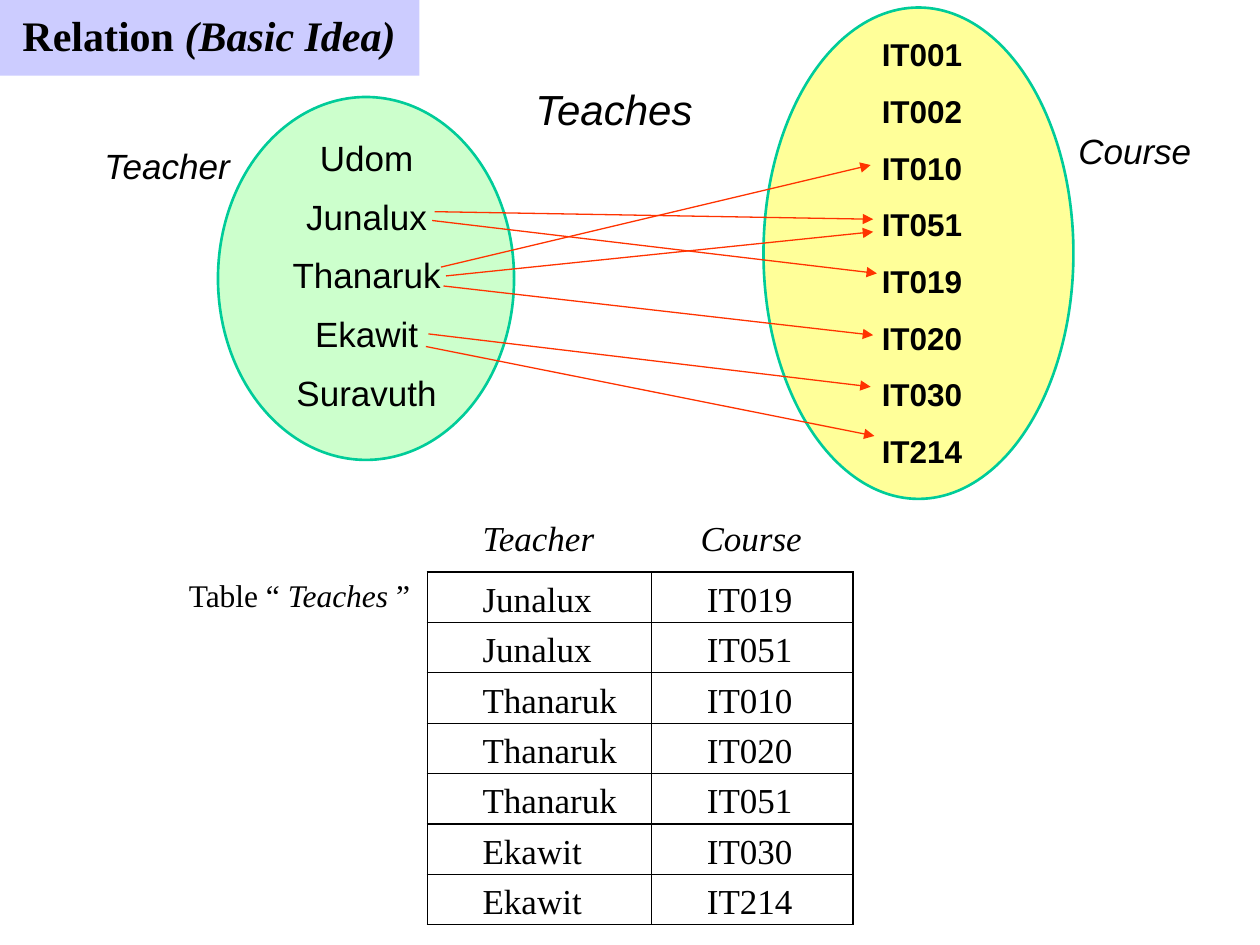
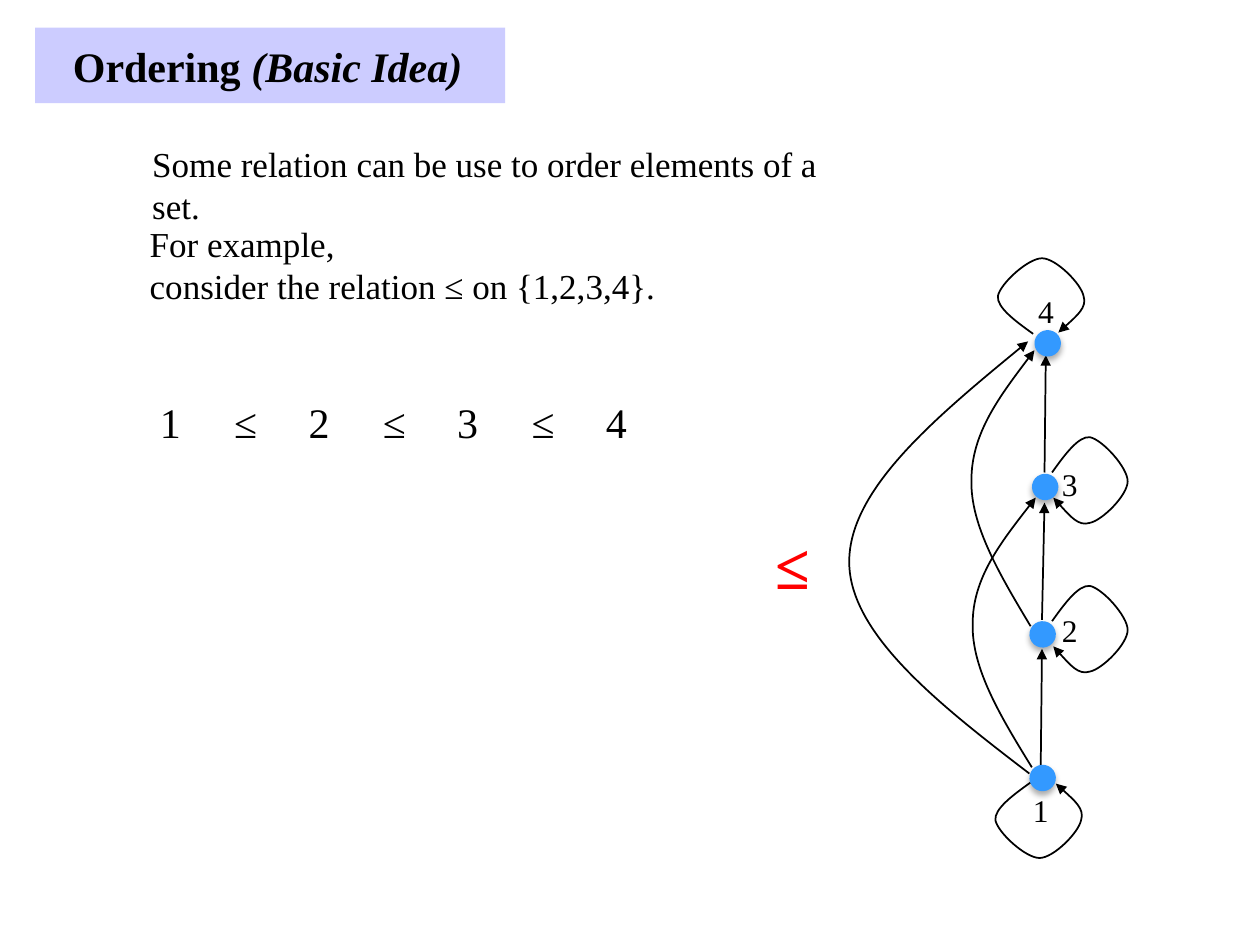
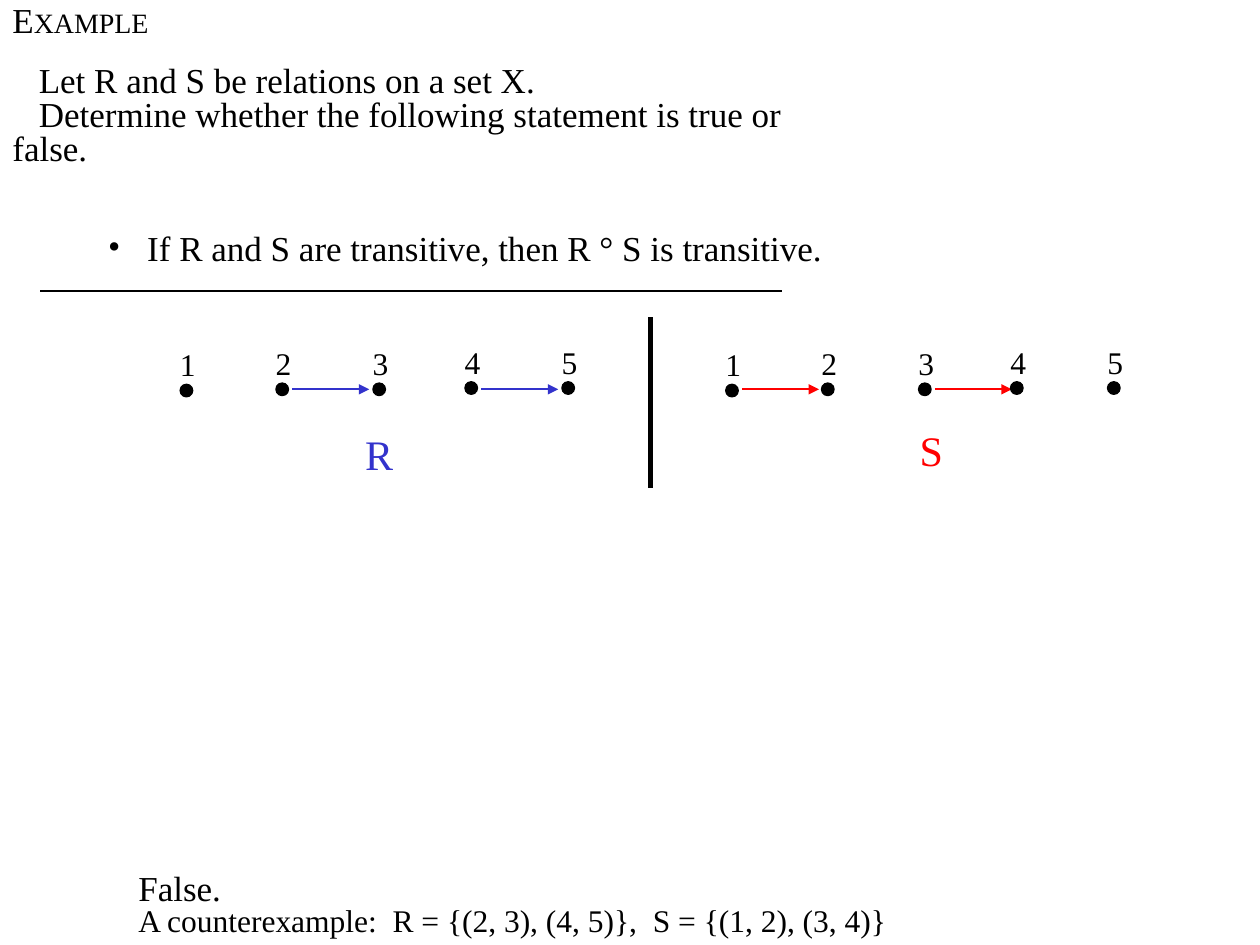
"""Build three slides on relations, orderings and a transitivity example."""
from lxml.etree import SubElement
from pptx import Presentation
from pptx.dml.color import RGBColor
from pptx.enum.shapes import MSO_CONNECTOR, MSO_SHAPE
from pptx.enum.text import MSO_ANCHOR, PP_ALIGN
from pptx.oxml.ns import qn
from pptx.shapes.connector import Connector
from pptx.util import Inches, Pt

COLORS = {
    "black": "000000", "band": "CCCCFF", "green": "CCFFCC", "yellow": "FFFF99",
    "outline": "00CC99", "arrow": "FF3300", "node": "3399FF", "red": "FF0000", "blue": "3333CC",
}
SERIF, SANS = "Times New Roman", "Arial"
BOLD, ITALIC = {"bold": True}, {"italic": True}


def add_text(slide, box, paragraphs, size=18, font=SERIF, color="black", align=PP_ALIGN.LEFT,
             spacing=None, wrap=False):
    """Add a text box; each paragraph is a list of (text, font settings) runs."""
    frame = slide.shapes.add_textbox(*map(Inches, box)).text_frame
    frame.word_wrap = wrap
    for index, runs in enumerate(paragraphs):
        paragraph = frame.paragraphs[0] if index == 0 else frame.add_paragraph()
        paragraph.alignment = align
        if spacing:
            paragraph.line_spacing = spacing
        for text, settings in runs:
            run = paragraph.add_run()
            run.text = text
            run.font.name = font
            run.font.size = Pt(size)
            run.font.color.rgb = RGBColor.from_string(COLORS[color])
            for name, value in settings.items():
                setattr(run.font, name, value)
    return frame


def style(shape, fill=None, line=None, width=0.75, arrow=False):
    """Set fill, line and arrowhead, and drop the theme shadow."""
    if line:
        shape.line.color.rgb = RGBColor.from_string(COLORS[line])
        shape.line.width = Pt(width)
    else:
        shape.line.fill.background()
    if arrow:
        SubElement(shape.line._get_or_add_ln(), qn("a:tailEnd"), type="triangle")
    if isinstance(shape, Connector):
        SubElement(shape._element.spPr, qn("a:effectLst"))
        return
    shape.shadow.inherit = False
    if fill:
        shape.fill.solid()
        shape.fill.fore_color.rgb = RGBColor.from_string(COLORS[fill])
    else:
        shape.fill.background()


presentation = Presentation()
presentation.slide_width, presentation.slide_height = Inches(10), Inches(7.5)
relation, ordering, example = [
    presentation.slides.add_slide(presentation.slide_layouts[6]) for _ in range(3)
]

for slide, topic, band, box in [
    (relation, "Relation ", (0, 0, 3.33, 0.6), (0.08, 0.03, 3.16, 0.5)),
    (ordering, "Ordering ", (0.28, 0.22, 3.73, 0.6), (0.48, 0.27, 3.29, 0.5)),
]:
    style(slide.shapes.add_shape(MSO_SHAPE.RECTANGLE, *map(Inches, band)), "band")
    add_text(slide, box, [[(topic, BOLD), ("(Basic Idea)", BOLD | ITALIC)]], 24)

for box, fill in [((1.73, 0.77, 2.35, 2.88), "green"), ((6.06, 0.06, 2.46, 3.9), "yellow")]:
    oval = relation.shapes.add_shape(MSO_SHAPE.OVAL, *map(Inches, box))
    style(oval, fill, "outline", 1.5)

for text, box, size in [
    ("Teacher", (0.73, 1.1, 1.22, 0.43), 20),
    ("Course", (8.46, 0.98, 1.1, 0.43), 20),
    ("Teaches", (4.15, 0.61, 1.48, 0.5), 24),
]:
    add_text(relation, box, [[(text, ITALIC)]], size, SANS)

teachers = ["Udom", "Junalux", "Thanaruk", "Ekawit", "Suravuth"]
courses = ["IT001", "IT002", "IT010", "IT051", "IT019", "IT020", "IT030", "IT214"]
add_text(relation, (2.22, 0.9, 1.38, 2.44), [[(name, {})] for name in teachers], 20, SANS,
         align=PP_ALIGN.CENTER, spacing=1.4)
add_text(relation, (6.9, 0.08, 0.84, 3.71), [[(code, BOLD)] for code in courses], 18, SANS,
         spacing=1.5)

for ends in [
    (3.5, 2.12, 6.91, 1.31), (3.52, 2.27, 6.93, 2.66), (3.43, 1.75, 6.96, 2.17),
    (3.54, 2.19, 6.93, 1.84), (3.45, 1.68, 6.93, 1.74), (3.4, 2.65, 6.91, 3.07),
    (3.38, 2.75, 6.94, 3.46),
]:
    connector = relation.shapes.add_connector(MSO_CONNECTOR.STRAIGHT, *map(Inches, ends))
    style(connector, line="arrow", arrow=True)

add_text(relation, (1.4, 4.52, 2, 0.4), [[("Table “ ", {}), ("Teaches", ITALIC), (" ”", {})]])
pairs = [
    ("Teacher", "Course"), ("Junalux", "IT019"), ("Junalux", "IT051"), ("Thanaruk", "IT010"),
    ("Thanaruk", "IT020"), ("Thanaruk", "IT051"), ("Ekawit", "IT030"), ("Ekawit", "IT214"),
]
table = relation.shapes.add_table(
    len(pairs), 2, Inches(3.39), Inches(4.05), Inches(3.38), Inches(3.29)).table
table.first_row = table.horz_banding = False
table.columns[0].width, table.columns[1].width = Inches(1.78), Inches(1.6)
for row, pair in enumerate(pairs):
    table.rows[row].height = Inches(0.4 if row else 0.49)
    for column, text in enumerate(pair):
        cell = table.cell(row, column)
        cell.margin_left = Inches(0.39 if (row, column) == (0, 1) else 0.44)
        cell.margin_top = Inches(0.05 if row else 0)
        cell.margin_bottom = Inches(0 if row else 0.03)
        cell.margin_right = 0
        cell.vertical_anchor = MSO_ANCHOR.MIDDLE
        properties = cell._tc.get_or_add_tcPr()
        for side in ("lnL", "lnR", "lnT", "lnB"):
            border = SubElement(properties, qn(f"a:{side}"), w=str(Pt(0.75)))
            if row or side == "lnB":
                SubElement(SubElement(border, qn("a:solidFill")), qn("a:srgbClr"),
                           val=COLORS["black"])
            else:
                SubElement(border, qn("a:noFill"))
        cell.fill.background()
        run = cell.text_frame.paragraphs[0].add_run()
        run.text = text
        run.font.name, run.font.size, run.font.italic = SERIF, Pt(20), row == 0
        run.font.color.rgb = RGBColor.from_string(COLORS["black"])

add_text(ordering, (1.11, 1.08, 5.91, 0.43),
         [[("Some relation can be use to order elements of a set.", {})]], 20, wrap=True)
add_text(ordering, (1.09, 1.72, 4.27, 0.77),
         [[("For example,", {})], [("consider the relation ≤ on {1,2,3,4}.", {})]], 20)
chain = add_text(ordering, (1.17, 3.1, 3.91, 0.5), [[("\t≤\t".join("1234"), {})]], 24)
tabs = SubElement(chain.paragraphs[0]._p.get_or_add_pPr(), qn("a:tabLst"))
for step in range(1, 7):
    SubElement(tabs, qn("a:tab"), pos=str(Inches(0.59 * step)), algn="l")

for text, left, top in [("1", 8.1, 6.23), ("2", 8.33, 4.8), ("3", 8.33, 3.64), ("4", 8.14, 2.27)]:
    add_text(ordering, (left, top, 0.33, 0.4), [[(text, {})]])
for ends in [(8.26, 6.07, 8.27, 5.15), (8.29, 3.75, 8.3, 2.82), (8.27, 4.92, 8.29, 3.99)]:
    connector = ordering.shapes.add_connector(MSO_CONNECTOR.STRAIGHT, *map(Inches, ends))
    style(connector, line="black", width=1, arrow=True)

loop = [
    (0, 0), (-0.14, -0.1), (-0.29, -0.21), (-0.28, -0.3), (-0.26, -0.4), (-0.04, -0.6),
    (0.07, -0.6), (0.18, -0.6), (0.38, -0.4), (0.4, -0.3), (0.43, -0.21), (0.31, -0.11),
    (0.2, -0.01),
]
curves = [
    [(8.2 + x, 2.65 + y) for x, y in loop],
    [(8.18 + x, 6.21 - y) for x, y in loop],
    [(8.35 - y, 3.75 + x) for x, y in loop],
    [(8.35 - y, 4.93 + x) for x, y in loop],
    [(8.19, 6.09), (7.95, 5.7), (7.71, 5.31), (7.72, 4.95), (7.72, 4.59), (7.97, 4.27),
     (8.22, 3.95)],
    [(8.18, 4.97), (7.94, 4.57), (7.7, 4.17), (7.71, 3.81), (7.71, 3.44), (7.96, 3.11),
     (8.21, 2.78)],
    [(8.17, 6.14), (7.45, 5.59), (6.74, 5.03), (6.74, 4.46), (6.74, 3.89), (7.44, 3.3),
     (8.16, 2.71)],
]
for curve in curves:
    start, *points = [(Inches(x), Inches(y)) for x, y in curve]
    builder = ordering.shapes.build_freeform(*start)
    builder.add_line_segments(points, close=False)
    freeform = builder.convert_to_shape()
    outline = next(freeform._element.iter(qn("a:path")))
    segments = outline.findall(qn("a:lnTo"))
    for first in range(0, len(segments), 3):
        bezier = SubElement(outline, qn("a:cubicBezTo"))
        for segment in segments[first:first + 3]:
            bezier.append(segment[0])
            outline.remove(segment)
    style(freeform, line="black", width=1, arrow=True)

add_text(ordering, (6.06, 4.13, 0.48, 0.7), [[("≤", BOLD)]], 36, color="red", wrap=True)
for left, top in [(8.21, 2.62), (8.19, 3.76), (8.17, 4.93), (8.17, 6.07)]:
    node = ordering.shapes.add_shape(MSO_SHAPE.OVAL, *map(Inches, (left, top, 0.21, 0.21)))
    node.rotation = 41
    style(node, "node")
    shadow = SubElement(node._element.spPr.find(qn("a:effectLst")), qn("a:outerShdw"),
                        blurRad=str(Pt(3.5)), dist=str(Pt(2.2)), dir="5400000", rotWithShape="0")
    SubElement(SubElement(shadow, qn("a:srgbClr"), val=COLORS["black"]), qn("a:alpha"), val="32000")

question = add_text(example, (0, 0, 6.94, 2.19), [
    [("E", {}), ("XAMPLE", {"size": Pt(16)})],
    [("Let R and S be relations on a set X.", {})],
    [("Determine whether the following statement is true or false.", {})],
    [("If R and S are transitive, then R ° S is transitive.", {})],
], 20, spacing=0.8, wrap=True)
heading, premise, task, claim = question.paragraphs
premise.space_before, claim.space_before = Pt(15.5), Pt(38)
for paragraph, margin, indent in [(premise, 0, 0.21), (task, 0, 0.21), (claim, 1.07, -0.31)]:
    properties = paragraph._p.get_or_add_pPr()
    properties.set("marL", str(Inches(margin)))
    properties.set("indent", str(Inches(indent)))
bullet = claim._p.get_or_add_pPr()
SubElement(bullet, qn("a:buFont"), typeface=SERIF)
SubElement(bullet, qn("a:buChar"), char="•")

answer = add_text(example, (0, 6.89, 7.16, 0.61), [
    [("False.", {"size": Pt(20)})],
    [("A counterexample:  R = {(2, 3), (4, 5)},  S = {(1, 2), (3, 4)}", {})],
], spacing=0.8, wrap=True)
for paragraph in answer.paragraphs:
    paragraph._p.get_or_add_pPr().set("marL", str(Inches(1)))

for ends, width in [((0.32, 2.31, 6.21, 2.31), 1.5), ((5.16, 2.52, 5.16, 3.87), 3)]:
    rule = example.shapes.add_connector(MSO_CONNECTOR.STRAIGHT, *map(Inches, ends))
    style(rule, line="black", width=width)

places = [(0, 3.05), (0.76, 3.04), (1.53, 3.04), (2.26, 3.03), (3.03, 3.03)]
for name, origin, sources, color, box in [
    ("R", 1.43, (2, 4), "blue", (2.8, 3.35, 0.42, 0.5)),
    ("S", 5.76, (1, 3), "red", (7.2, 3.32, 0.39, 0.5)),
]:
    for number, (offset, top) in enumerate(places, 1):
        left = origin + offset
        add_text(example, (left - 0.1, top - 0.36, 0.33, 0.4), [[(str(number), {})]])
        dot = example.shapes.add_shape(MSO_SHAPE.OVAL, *map(Inches, (left, top, 0.1, 0.1)))
        style(dot, "black", "black")
        if number in sources:
            ends = (left + 0.13, 3.09, left + 0.74, 3.09)
            connector = example.shapes.add_connector(MSO_CONNECTOR.STRAIGHT, *map(Inches, ends))
            style(connector, line=color, width=1, arrow=True)
    add_text(example, box, [[(name, {})]], 24, color=color)

presentation.save("out.pptx")
